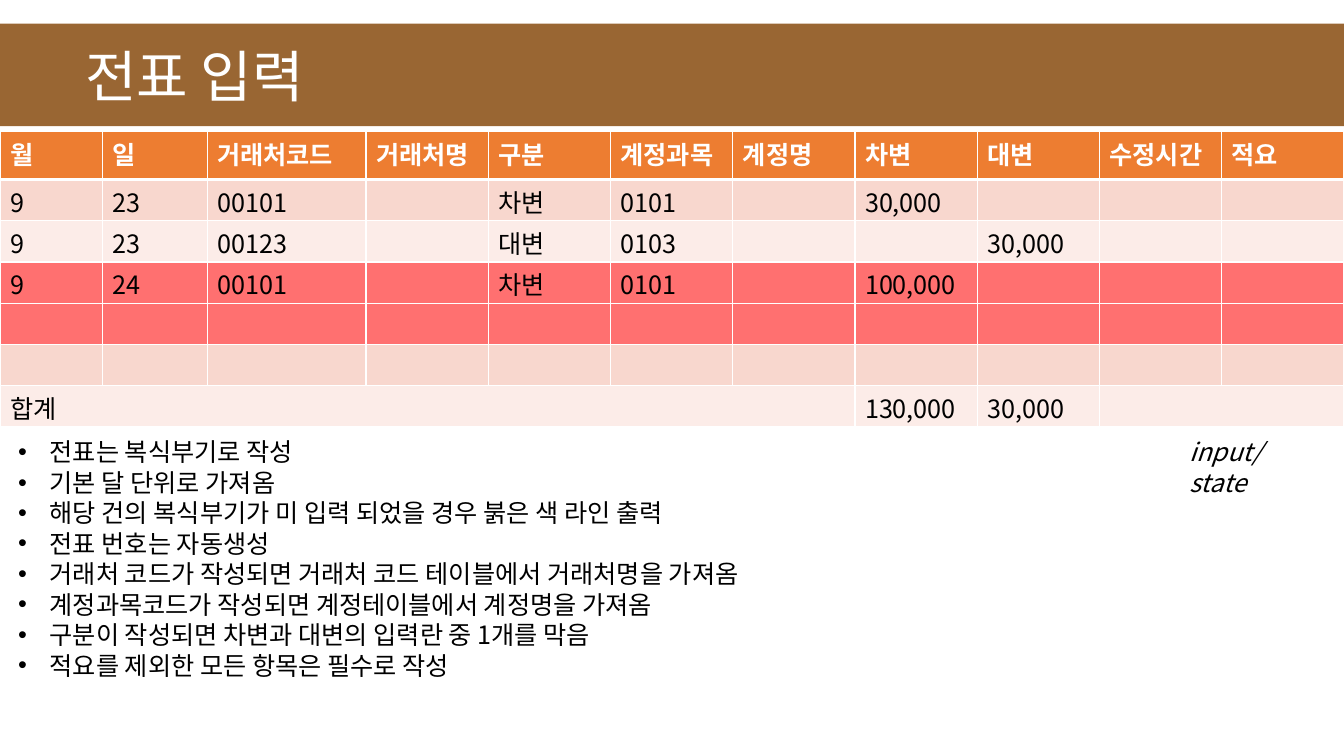
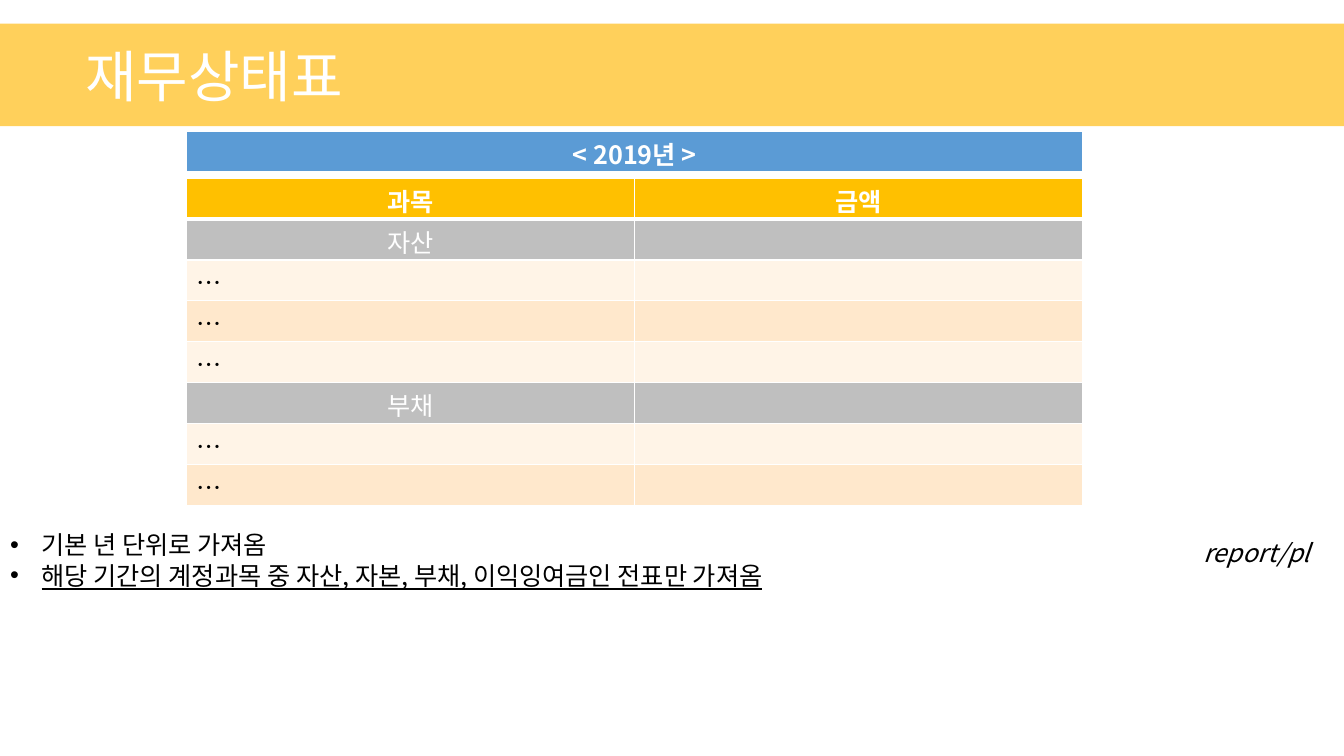
from dataclasses import dataclass

from lxml.etree import SubElement
from pptx import Presentation
from pptx.dml.color import RGBColor
from pptx.enum.text import MSO_ANCHOR, MSO_AUTO_SIZE, PP_ALIGN
from pptx.oxml.ns import qn
from pptx.util import Pt

SLIDE_WIDTH = 960
SLIDE_HEIGHT = 540
WHITE = "FFFFFF"
BLACK = "000000"
RED = "FF0000"
GREY = "BFBFBF"


def color(value):
    return RGBColor.from_string(value)


@dataclass
class Row:
    values: list
    fill: str
    text_color: str = BLACK
    bold: bool = False
    centred: bool = False
    opacity: int = 100


class Deck:
    """Holds the shared style and the slide being built."""

    font_name = "Noto Sans CJK KR"
    title_size = 40
    text_size = 18
    line_height = 21.75
    bullet_indent = 22.5

    def __init__(self):
        self.presentation = Presentation()
        self.presentation.slide_width = Pt(SLIDE_WIDTH)
        self.presentation.slide_height = Pt(SLIDE_HEIGHT)
        self.slide = None

    def format_paragraph(self, paragraph, size=text_size, text_color=BLACK,
                         bold=False, italic=False, underline=False):
        for run in paragraph.runs:
            font = run.font
            font.size = Pt(size)
            font.bold = bold
            font.italic = italic
            font.underline = underline
            font.color.rgb = color(text_color)
            font.name = self.font_name
            east_asian = SubElement(font._element, qn("a:ea"))
            east_asian.set("typeface", self.font_name)

    def add_slide(self, title, band_color):
        """Start a slide whose title fills a coloured band."""
        layout = self.presentation.slide_layouts[1]
        self.slide = self.presentation.slides.add_slide(layout)
        band = self.slide.shapes.title
        self.place(band, 0, 16.8, SLIDE_WIDTH, 73.4)
        band.fill.solid()
        band.fill.fore_color.rgb = color(band_color)
        text_frame = band.text_frame
        text_frame.text = title
        text_frame.margin_left = Pt(61)
        text_frame.vertical_anchor = MSO_ANCHOR.MIDDLE
        text_frame.auto_size = MSO_AUTO_SIZE.NONE
        paragraph = text_frame.paragraphs[0]
        paragraph.alignment = PP_ALIGN.LEFT
        self.format_paragraph(paragraph, self.title_size, WHITE)

    def place(self, shape, left, top, width, height):
        shape.left, shape.top = Pt(left), Pt(top)
        shape.width, shape.height = Pt(width), Pt(height)

    def add_bullets(self, items, left, top, width, underlined=()):
        """Fill the body placeholder; underlined holds item indexes."""
        body = self.slide.placeholders[1]
        self.place(body, left, top, width, 7.2 + len(items) * self.line_height)
        text_frame = body.text_frame
        text_frame.text = "\n".join(items)
        text_frame.auto_size = MSO_AUTO_SIZE.NONE
        for index, paragraph in enumerate(text_frame.paragraphs):
            paragraph.line_spacing = Pt(self.line_height)
            paragraph.space_before = Pt(0)
            properties = paragraph._p.get_or_add_pPr()
            properties.set("marL", str(Pt(self.bullet_indent)))
            properties.set("indent", str(-Pt(self.bullet_indent)))
            SubElement(properties, qn("a:buFont")).set("typeface", "Arial")
            SubElement(properties, qn("a:buChar")).set("char", "•")
            self.format_paragraph(paragraph, underline=index in underlined)

    def add_route(self, text, left, top, width):
        box = self.slide.shapes.add_textbox(Pt(left), Pt(top), Pt(width), Pt(29))
        box.text_frame.word_wrap = True
        box.text_frame.text = text
        paragraph = box.text_frame.paragraphs[0]
        paragraph.line_spacing = Pt(self.line_height)
        self.format_paragraph(paragraph, italic=True)

    def add_table(self, rows, left, top, column_widths, row_height,
                  header_height=None):
        """Draw a table whose first row is the header."""
        heights = [header_height or row_height] + [row_height] * (len(rows) - 1)
        frame = self.slide.shapes.add_table(
            len(rows), len(column_widths), Pt(left), Pt(top),
            Pt(sum(column_widths)), Pt(sum(heights)))
        table = frame.table
        for column, width in zip(table.columns, column_widths):
            column.width = Pt(width)
        for index, (row, height) in enumerate(zip(rows, heights)):
            table.rows[index].height = Pt(height)
            for cell, value in zip(table.rows[index].cells, row.values):
                self.format_cell(cell, value, row, 3 if index == 0 else 1)
        return table

    def format_cell(self, cell, value, row, bottom_width):
        cell.text = value
        cell.margin_top, cell.margin_bottom = Pt(7), Pt(0)
        paragraph = cell.text_frame.paragraphs[0]
        paragraph.line_spacing = Pt(self.line_height)
        paragraph.alignment = PP_ALIGN.CENTER if row.centred else PP_ALIGN.LEFT
        self.format_paragraph(paragraph, text_color=row.text_color, bold=row.bold)
        properties = cell._tc.get_or_add_tcPr()
        for side, width in (("lnL", 1), ("lnR", 1), ("lnT", 1),
                            ("lnB", bottom_width)):
            border = SubElement(properties, qn(f"a:{side}"), w=str(Pt(width)))
            border_fill = SubElement(border, qn("a:solidFill"))
            SubElement(border_fill, qn("a:srgbClr"), val=WHITE)
        cell.fill.solid()
        cell.fill.fore_color.rgb = color(row.fill)
        if row.opacity < 100:
            fill_color = properties.find(qn("a:solidFill")).find(qn("a:srgbClr"))
            SubElement(fill_color, qn("a:alpha"), val=str(row.opacity * 1000))


def build_voucher_slide(deck):
    deck.add_slide("전표 입력", "996633")
    headings = ["월", "일", "거래처코드", "거래처명", "구분", "계정과목",
                "계정명", "차변", "대변", "수정시간", "적요"]
    blank = [""] * len(headings)
    dark, light = "F8D7CE", "FCECE8"
    rows = [
        Row(headings, "ED7D31", WHITE, bold=True),
        Row(["9", "23", "00101", "", "차변", "0101", "", "30,000", "", "", ""],
            dark),
        Row(["9", "23", "00123", "", "대변", "0103", "", "", "30,000", "", ""],
            light),
        Row(["9", "24", "00101", "", "차변", "0101", "", "100,000", "", "", ""],
            RED, opacity=56),
        Row(blank, RED, opacity=56),
        Row(blank, dark),
        Row(["합계"] + [""] * 6 + ["130,000", "30,000", "", ""], light),
    ]
    first_widths = [73, 75, 113.5]
    other_count = len(headings) - len(first_widths)
    other_width = (SLIDE_WIDTH - sum(first_widths)) / other_count
    table = deck.add_table(rows, 0, 93.6, first_widths + [other_width] * other_count,
                           row_height=29.5, header_height=34.6)
    total_row = len(rows) - 1
    for first, last in ((0, 6), (9, 10)):
        table.cell(total_row, first).merge(table.cell(total_row, last))
    deck.add_bullets([
        "전표는 복식부기로 작성",
        "기본 달 단위로 가져옴",
        "해당 건의 복식부기가 미 입력 되었을 경우 붉은 색 라인 출력",
        "전표 번호는 자동생성",
        "거래처 코드가 작성되면 거래처 코드 테이블에서 거래처명을 가져옴",
        "계정과목코드가 작성되면 계정테이블에서 계정명을 가져옴",
        "구분이 작성되면 차변과 대변의 입력란 중 1개를 막음",
        "적요를 제외한 모든 항목은 필수로 작성",
    ], 5.8, 308.2, 598)
    deck.add_route("input/state", 842.4, 308.2, 103.7)


def build_balance_slide(deck):
    deck.add_slide("재무상태표", "FFD05B")
    light, dark = "FFF4E7", "FFE8CC"
    rows = [Row(["과목", "금액"], "FFC000", WHITE, bold=True, centred=True)]
    for section, fills in (("자산", (light, dark, light)), ("부채", (light, dark))):
        rows.append(Row([section, ""], GREY, WHITE, centred=True))
        rows += [Row(["…", ""], fill) for fill in fills]
    left, column_width, row_height = 133.4, 320, 29.2
    deck.add_table(rows, left, 127.3, [column_width] * 2, row_height)
    year = Row(["< 2019년 >"], "5B9BD5", WHITE, bold=True, centred=True)
    deck.add_table([year], left, 94, [column_width * 2], row_height)
    deck.add_bullets([
        "기본 년 단위로 가져옴",
        "해당 기간의 계정과목 중 자산, 자본, 부채, 이익잉여금인 전표만 가져옴",
    ], 0, 374.6, 640, underlined=(1,))
    deck.add_route("report/pl", 852.5, 379.8, 100)


def main():
    deck = Deck()
    build_voucher_slide(deck)
    build_balance_slide(deck)
    deck.presentation.save("out.pptx")


if __name__ == "__main__":
    main()
